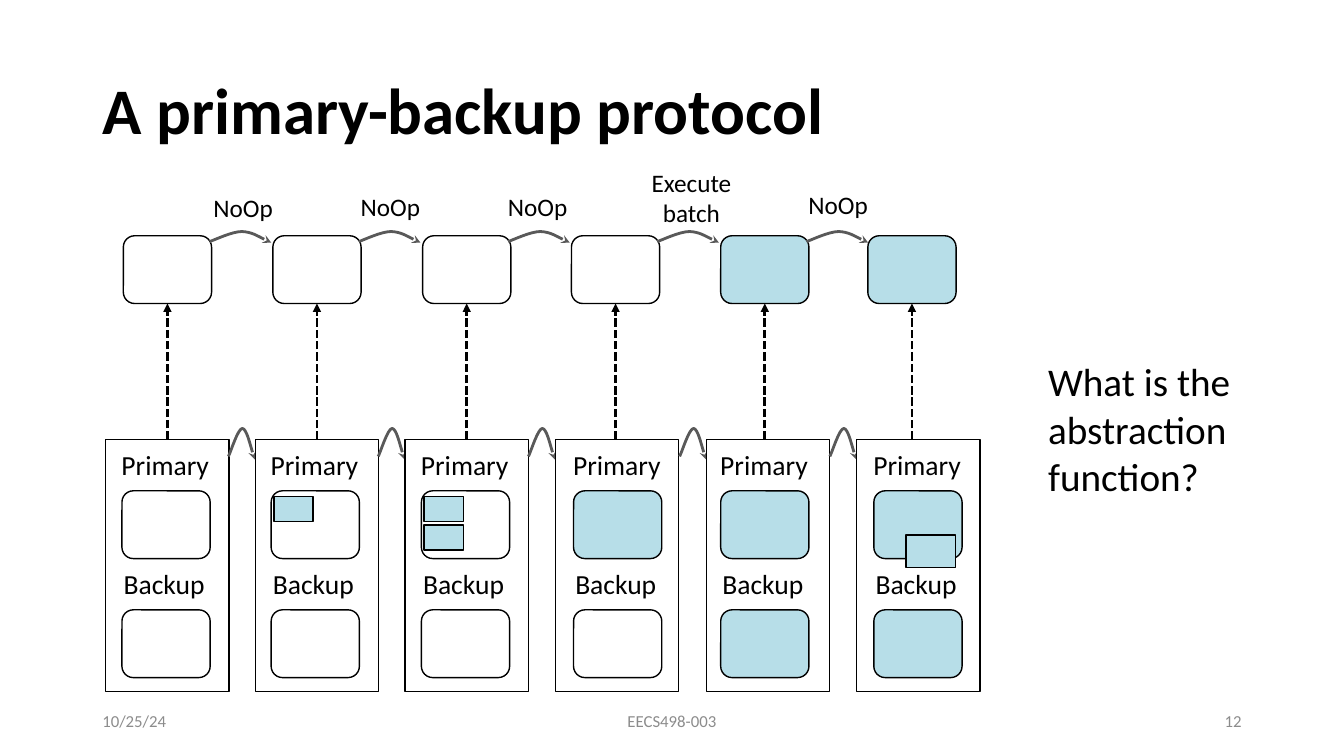
"""Builds the slide on a primary-backup protocol and its abstraction function."""
from pptx import Presentation
from pptx.dml.color import RGBColor
from pptx.enum.dml import MSO_LINE
from pptx.enum.shapes import MSO_CONNECTOR, MSO_SHAPE
from pptx.enum.text import MSO_ANCHOR as ANCHOR, MSO_AUTO_SIZE as FIT, PP_ALIGN as ALIGN
from pptx.oxml.ns import qn
from pptx.oxml.xmlchemy import OxmlElement
from pptx.util import Pt

WHITE, BLACK, BLUE, GRAY, ARROW = "FFFFFF", "000000", "B7DEE8", "8C8C8C", "595959"
BOX_W, BOX_H = 63, 48.4
STATE_W, STATE_H, STATE_TOP = 88, 180, 314
SPEC_TOP = 168.4
CENTRED = 12.5
STEP_ARC = [(0, 7.2), (4, 5.8), (16, 0), (23, 0), (30, 0.3), (40.5, 6.5), (44, 8)]
STATE_ARC = [(0, 20), (1.8, 16.5), (6.8, 0), (10, 0), (13, 0.5), (17.3, 18.5), (19, 22.3)]

# state left, spec box offset, replica offset, spec, primary and backup fills, pending (x, y, w, h)
STATES = [
    (75.6, CENTRED, 11.5, WHITE, WHITE, WHITE, []),
    (182.4, CENTRED, 11.3, WHITE, WHITE, WHITE, [(2, 4, 28, 18)]),
    (289.4, CENTRED, 11.6, WHITE, WHITE, WHITE, [(2, 4, 28, 18), (2, 24.4, 28, 18)]),
    (396.7, 11.5, 13, WHITE, BLUE, WHITE, []),
    (504.7, 10.1, 10.1, BLUE, BLUE, BLUE, []),
    (612, 7.9, 12.2, BLUE, BLUE, BLUE, [(23, 31.6, 35.3, 23)]),
]
STEPS = [
    ("NoOp", 145.4, 133.6, 60.5, ALIGN.LEFT),
    ("NoOp", 250.6, 133.2, 60.5, ALIGN.LEFT),
    ("NoOp", 355.7, 133.2, 60.5, ALIGN.LEFT),
    ("Execute batch", 451.4, 115.9, 85, ALIGN.CENTER),
    ("NoOp", 560.9, 131.8, 75.6, ALIGN.CENTER),
]


def colour(hex_code):
    """Turn a hex string into a colour."""
    return RGBColor.from_string(hex_code)


def write(frame, text, size, color=BLACK, bold=False, align=ALIGN.LEFT, anchor=ANCHOR.TOP,
          fit=FIT.NONE, inset=None, spacing=None):
    """Fill a text frame with one formatted paragraph."""
    frame.word_wrap, frame.auto_size, frame.vertical_anchor = True, fit, anchor
    if inset is not None:
        frame.margin_left = frame.margin_right = Pt(inset)
        frame.margin_top = frame.margin_bottom = Pt(inset)
    paragraph = frame.paragraphs[0]
    paragraph.alignment = align
    if spacing:
        paragraph.line_spacing = spacing
    run = paragraph.add_run()
    run.text = text
    run.font.name, run.font.size, run.font.bold = "Calibri", Pt(size), bold
    run.font.color.rgb = colour(color)


def add_label(shapes, text, x, y, w, h, size, **style):
    """Add a text box."""
    write(shapes.add_textbox(Pt(x), Pt(y), Pt(w), Pt(h)).text_frame, text, size, **style)


def add_box(shapes, x, y, w, h, fill, kind=MSO_SHAPE.RECTANGLE):
    """Add an outlined box."""
    box = shapes.add_shape(kind, Pt(x), Pt(y), Pt(w), Pt(h))
    box.shadow.inherit = False
    box.fill.solid()
    box.fill.fore_color.rgb = colour(fill)
    box.line.color.rgb = colour(BLACK)
    box.line.width = Pt(1)
    return box


def add_store(shapes, x, y, fill):
    """Add a rounded box that holds the data of a state."""
    return add_box(shapes, x, y, BOX_W, BOX_H, fill, MSO_SHAPE.ROUNDED_RECTANGLE)


def format_arrow(line, color, head):
    """Give a line its colour, width and arrowhead."""
    line.color.rgb = colour(color)
    line.width = Pt(2)
    tail = OxmlElement("a:tailEnd")
    tail.set("type", head)
    line._get_or_add_ln().append(tail)


def add_arc(shapes, x, y, offsets):
    """Add a curved arrow through Bezier points given relative to x and y."""
    points = [(Pt(x + dx), Pt(y + dy)) for dx, dy in offsets]
    builder = shapes.build_freeform(*points[0])
    builder.add_line_segments(points[1:], close=False)
    arc = builder.convert_to_shape()
    segments = list(arc.element.iter(qn("a:lnTo")))
    for start in range(0, len(segments), 3):
        curve = OxmlElement("a:cubicBezTo")
        segments[start].addprevious(curve)
        for segment in segments[start:start + 3]:
            curve.append(segment[0])
            segment.getparent().remove(segment)
    arc.shadow.inherit = False
    arc.fill.background()
    format_arrow(arc.line, ARROW, "stealth")


def add_abstraction(shapes, state, spec, joined):
    """Add the dashed arrow from a protocol state up to its spec state."""
    x = spec.left + spec.width // 2
    arrow = shapes.add_connector(MSO_CONNECTOR.STRAIGHT, x, state.top, x, spec.top + spec.height)
    if joined:
        arrow.begin_connect(state, 0)
    arrow.end_connect(spec, 2)
    arrow.line.dash_style = MSO_LINE.SQUARE_DOT
    format_arrow(arrow.line, BLACK, "triangle")
    arrow.element.spPr.append(OxmlElement("a:effectLst"))


def add_state(shapes, first, left, replica_offset, primary, backup, pending):
    """Add one protocol state with its primary, backup and pending writes."""
    if not first:
        add_arc(shapes, left - 19.2, 306, STATE_ARC)
    state = add_box(shapes, left, STATE_TOP, STATE_W, STATE_H, WHITE)
    x = left + replica_offset
    replicas = [("Primary", x - 14.4, 316.8, 350.6, primary),
                ("Backup", x - 15.2, 401.8, 435.6, backup)]
    for role, label_x, label_y, store_y, fill in replicas:
        add_store(shapes, x, store_y, fill)
        add_label(shapes, role, label_x, label_y, 90.7, 29.5, 19.7, align=ALIGN.CENTER,
                  anchor=ANCHOR.MIDDLE, fit=FIT.SHAPE_TO_FIT_TEXT, inset=3)
    for dx, dy, w, h in pending:
        add_box(shapes, x + dx, 350.6 + dy, w, h, BLUE)
    return state


def main():
    """Build and save the slide."""
    deck = Presentation()
    deck.slide_width, deck.slide_height = Pt(960), Pt(540)
    slide = deck.slides.add_slide(deck.slide_layouts[5])
    shapes = slide.shapes

    title = shapes.title
    title.left, title.top, title.width, title.height = Pt(66), Pt(28.8), Pt(828), Pt(104.4)
    write(title.text_frame, "A primary-backup protocol", 46.4, bold=True,
          anchor=ANCHOR.MIDDLE, spacing=0.9)

    for i, (left, spec_offset, replica_offset, spec_fill, primary, backup, pending) in enumerate(STATES):
        parts = shapes.add_group_shape().shapes if i else shapes
        state = add_state(parts, i == 0, left, replica_offset, primary, backup, pending)
        spec = add_store(shapes, left + spec_offset, SPEC_TOP, spec_fill)
        add_abstraction(shapes, state, spec, spec_offset == CENTRED)

    for i, (step, x, y, w, align) in enumerate(STEPS):
        add_arc(shapes, 149.8 + 106.6 * i, 165.4, STEP_ARC)
        add_label(shapes, step, x, y, w, 29, 18, align=align, fit=FIT.SHAPE_TO_FIT_TEXT)

    add_label(shapes, "What is the abstraction function?", 741.6, 252, 158.4, 108.7, 28,
              fit=FIT.SHAPE_TO_FIT_TEXT)
    footers = [("10/25/24", 66, 216, ALIGN.LEFT), ("EECS498-003", 318, 324, ALIGN.CENTER),
               ("12", 678, 216, ALIGN.RIGHT)]
    for text, x, w, align in footers:
        add_label(shapes, text, x, 500.5, w, 28.8, 12, color=GRAY, align=align,
                  anchor=ANCHOR.MIDDLE)
    deck.save("out.pptx")


if __name__ == "__main__":
    main()
